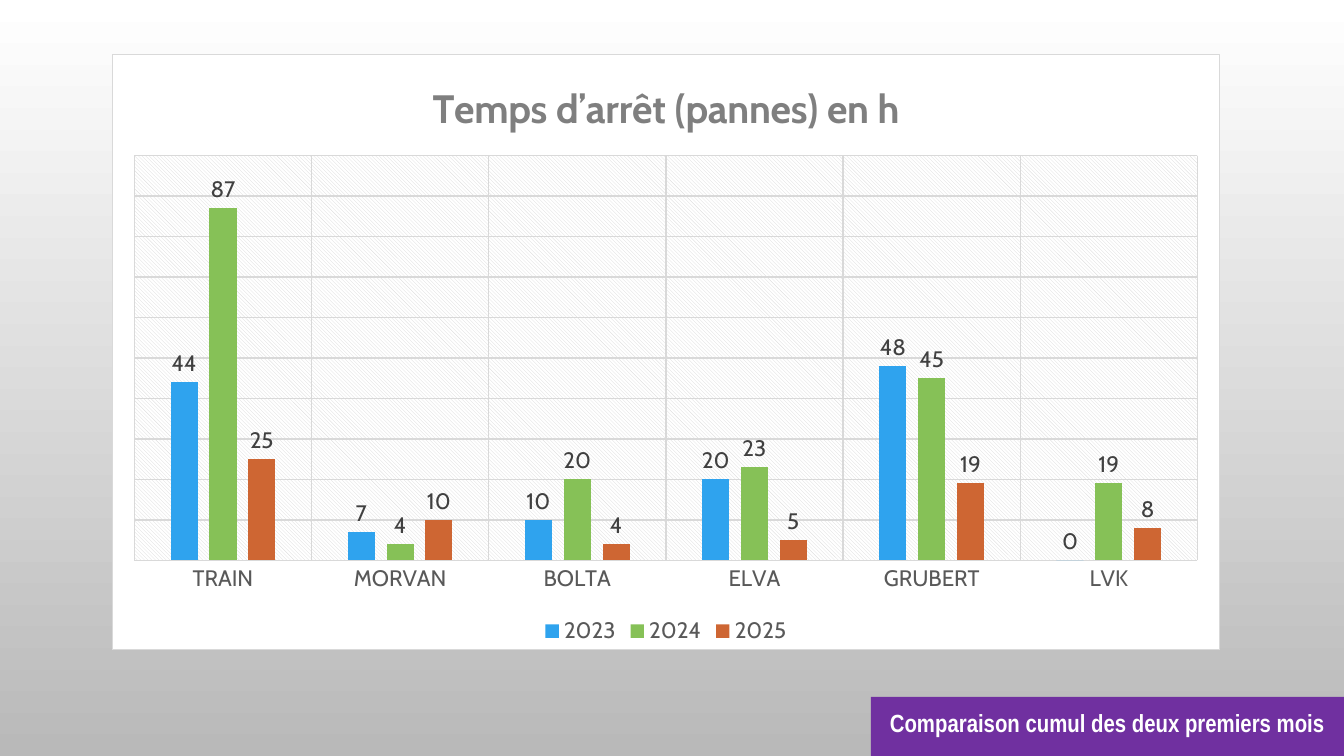
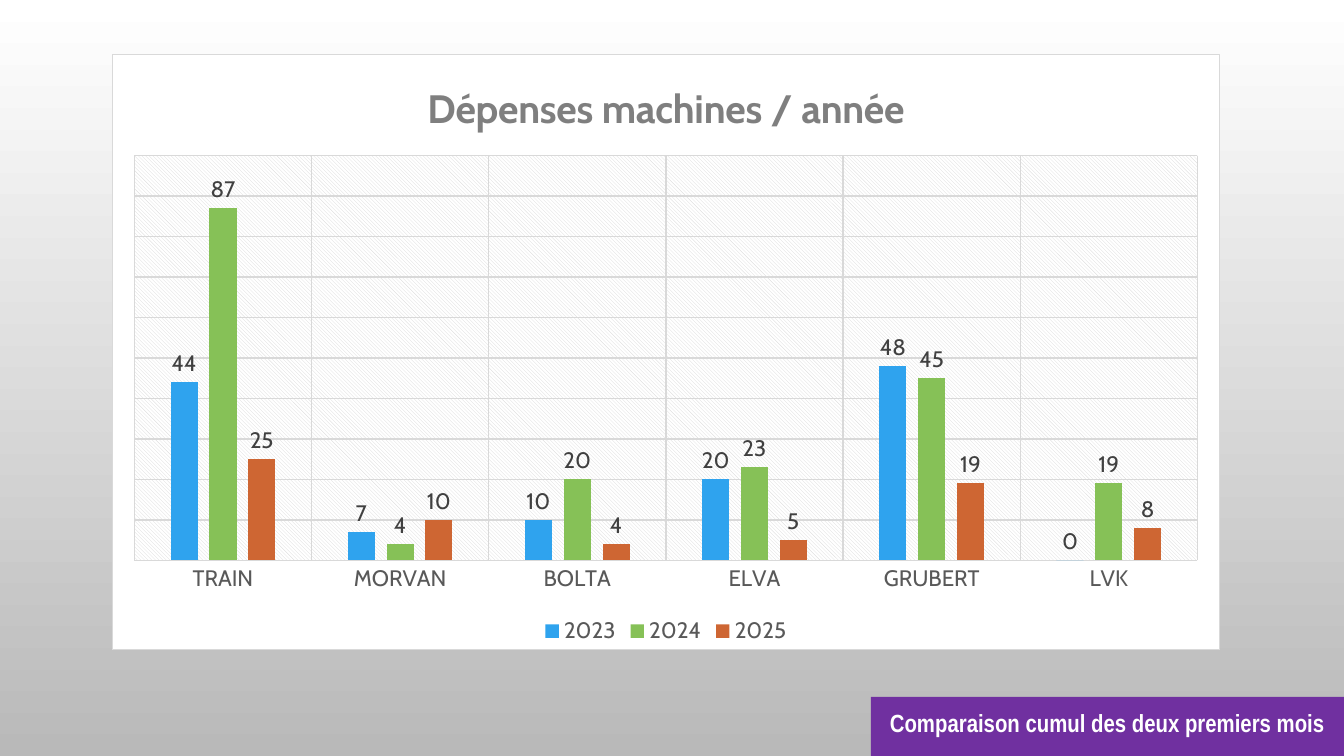
from lxml.etree import SubElement
from pptx import Presentation
from pptx.chart.data import CategoryChartData
from pptx.dml.color import RGBColor
from pptx.enum.chart import XL_CHART_TYPE as ChartType
from pptx.enum.chart import XL_LABEL_POSITION as LabelPosition
from pptx.enum.chart import XL_LEGEND_POSITION as LegendPosition
from pptx.enum.chart import XL_TICK_LABEL_POSITION as TickLabelPosition
from pptx.enum.chart import XL_TICK_MARK as TickMark
from pptx.enum.shapes import MSO_SHAPE as Shape
from pptx.enum.text import MSO_ANCHOR as Anchor
from pptx.enum.text import PP_ALIGN as Align
from pptx.oxml import parse_xml
from pptx.oxml.ns import nsdecls, qn
from pptx.util import Inches, Pt

WHITE = RGBColor(0xFF, 0xFF, 0xFF)
BACKGROUND_GREY = RGBColor(0xB9, 0xB9, 0xB9)
GRID_GREY = RGBColor(0xD9, 0xD9, 0xD9)
TITLE_GREY = RGBColor(0x7F, 0x7F, 0x7F)
AXIS_GREY = RGBColor(0x59, 0x59, 0x59)
LABEL_GREY = RGBColor(0x40, 0x40, 0x40)
BLACK = RGBColor(0x00, 0x00, 0x00)
PURPLE = RGBColor(0x70, 0x30, 0xA0)
BLUE = RGBColor(0x2F, 0xA3, 0xEE)
GREEN = RGBColor(0x86, 0xC1, 0x57)
ORANGE = RGBColor(0xCE, 0x66, 0x33)

CHART_FONT = "Cabin"
BANNER_FONT = "Arial Narrow"
BANNER_TEXT = "Comparaison cumul des deux premiers mois"
CHART_TITLES = ["Temps d’arrêt (pannes) en h", "Dépenses machines / année"]
MACHINES = ["TRAIN", "MORVAN", "BOLTA", "ELVA", "GRUBERT", "LVK"]
YEARS = [
    ("2023", [44, 7, 10, 20, 48, 0], BLUE),
    ("2024", [87, 4, 20, 23, 45, 19], GREEN),
    ("2025", [25, 10, 4, 5, 19, 8], ORANGE),
]
PLOT_LAYOUT = {"x": 0.02, "y": 0.17, "w": 0.96, "h": 0.68}

CHART_FRAME = f"""<c:spPr {nsdecls("c", "a")}>
  <a:solidFill><a:srgbClr val="{WHITE}"/></a:solidFill>
  <a:ln w="9525"><a:solidFill><a:srgbClr val="{GRID_GREY}"/></a:solidFill></a:ln>
</c:spPr>"""
PLOT_HATCHING = f"""<c:spPr {nsdecls("c", "a")}>
  <a:pattFill prst="ltDnDiag">
    <a:fgClr><a:srgbClr val="{GRID_GREY}"/></a:fgClr>
    <a:bgClr><a:srgbClr val="{WHITE}"/></a:bgClr>
  </a:pattFill>
  <a:ln><a:noFill/></a:ln>
</c:spPr>"""


def set_font(font, size, color, name=CHART_FONT, bold=False):
    font.name = name
    font.size = Pt(size)
    font.bold = bold
    font.color.rgb = color


def set_line(line):
    line.color.rgb = GRID_GREY
    line.width = Pt(0.75)


presentation = Presentation()
presentation.slide_width = Inches(10)
presentation.slide_height = presentation.slide_width * 9 // 16
blank_layout = presentation.slide_layouts[6]

chart_data = CategoryChartData()
chart_data.categories = MACHINES
for year, hours, _ in YEARS:
    chart_data.add_series(year, hours)

for title in CHART_TITLES:
    slide = presentation.slides.add_slide(blank_layout)
    background = slide.background.fill
    background.gradient()
    background.gradient_angle = 270
    for stop, color in zip(background.gradient_stops, (WHITE, BACKGROUND_GREY)):
        stop.color.rgb = color

    # Banner in the bottom right corner
    banner_width, banner_height = Inches(3.52), Inches(0.44)
    banner = slide.shapes.add_shape(
        Shape.RECTANGLE,
        presentation.slide_width - banner_width,
        presentation.slide_height - banner_height,
        banner_width,
        banner_height,
    )
    banner.shadow.inherit = False
    banner.fill.solid()
    banner.fill.fore_color.rgb = PURPLE
    banner.line.fill.background()
    banner.text_frame.word_wrap = True
    banner.text_frame.vertical_anchor = Anchor.MIDDLE
    paragraph = banner.text_frame.paragraphs[0]
    paragraph.text = BANNER_TEXT
    paragraph.alignment = Align.CENTER
    paragraph.line_spacing = 0.7
    set_font(paragraph.font, 13.3, WHITE, BANNER_FONT, bold=True)

    # Column chart
    chart = slide.shapes.add_chart(
        ChartType.COLUMN_CLUSTERED,
        Inches(0.83), Inches(0.4), Inches(8.25), Inches(4.44),
        chart_data,
    ).chart
    set_font(chart.font, 10, BLACK)
    chart.has_title = True
    chart.chart_title.include_in_layout = False
    title_paragraph = chart.chart_title.text_frame.paragraphs[0]
    title_paragraph.text = title
    set_font(title_paragraph.font, 21.3, TITLE_GREY, bold=True)

    chart.has_legend = True
    chart.legend.position = LegendPosition.BOTTOM
    chart.legend.include_in_layout = False
    set_font(chart.legend.font, 12, AXIS_GREY)

    machine_axis = chart.category_axis
    machine_axis.major_tick_mark = TickMark.NONE
    machine_axis.tick_label_position = TickLabelPosition.NEXT_TO_AXIS
    machine_axis.has_major_gridlines = True
    set_font(machine_axis.tick_labels.font, 12, AXIS_GREY)
    set_line(machine_axis.format.line)
    set_line(machine_axis.major_gridlines.format.line)

    value_axis = chart.value_axis
    value_axis.visible = False
    value_axis.minimum_scale = 0
    value_axis.maximum_scale = 100
    value_axis.major_unit = 10
    value_axis.has_major_gridlines = True
    set_line(value_axis.major_gridlines.format.line)

    plot = chart.plots[0]
    plot.gap_width = 267
    plot.overlap = -43
    plot.vary_by_categories = False
    for series, (_, _, color) in zip(plot.series, YEARS):
        series.format.fill.solid()
        series.format.fill.fore_color.rgb = color
        series.format.line.fill.background()
        labels = series.data_labels
        labels.show_value = True
        labels.position = LabelPosition.OUTSIDE_END
        set_font(labels.font, 12, LABEL_GREY)

    # Frame, hatching and inner plot position
    chart_element = chart.element.find(qn("c:chart"))
    chart_element.addnext(parse_xml(CHART_FRAME))
    plot_area = chart_element.find(qn("c:plotArea"))
    plot_area.append(parse_xml(PLOT_HATCHING))
    layout = plot_area.find(qn("c:layout"))
    if layout is None:
        layout = parse_xml(f"<c:layout {nsdecls('c')}/>")
        plot_area.insert(0, layout)
    manual_layout = SubElement(layout, qn("c:manualLayout"))
    settings = {"layoutTarget": "inner", "xMode": "edge", "yMode": "edge", **PLOT_LAYOUT}
    for tag, value in settings.items():
        SubElement(manual_layout, qn(f"c:{tag}")).set("val", str(value))

presentation.save("out.pptx")
